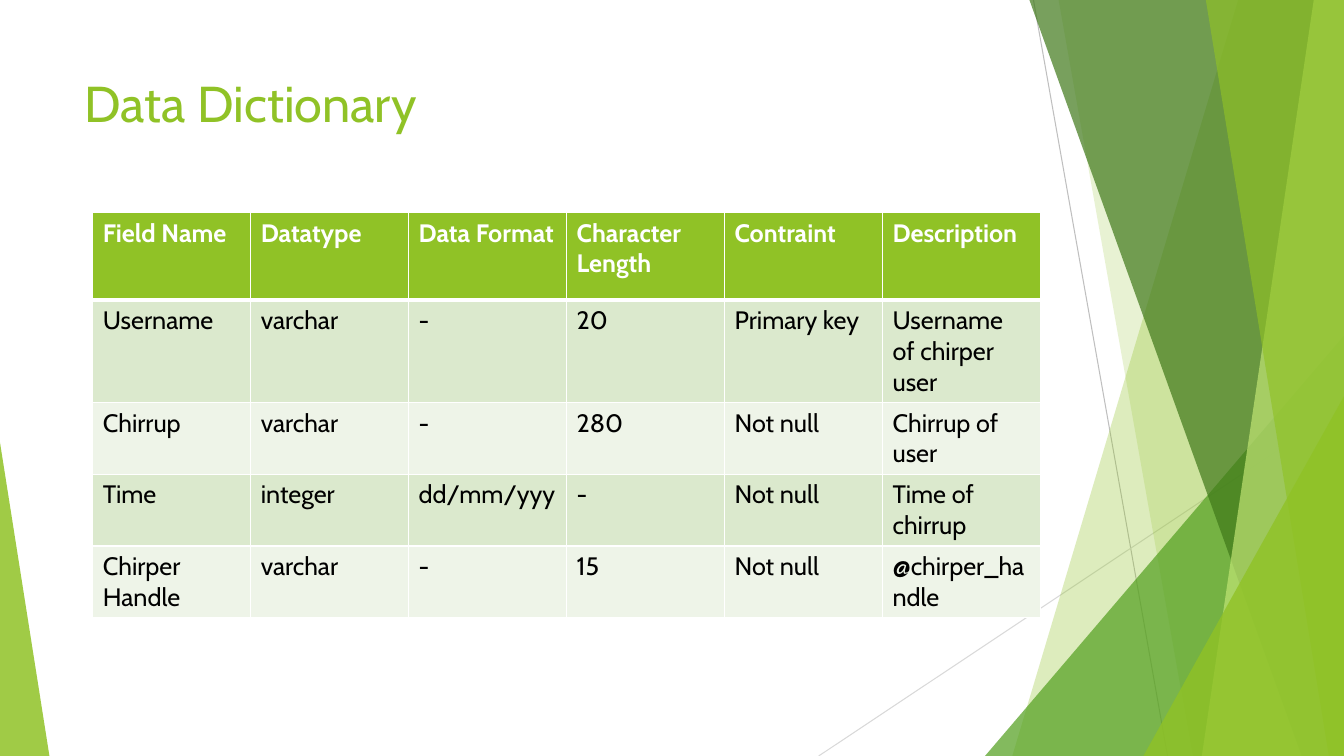
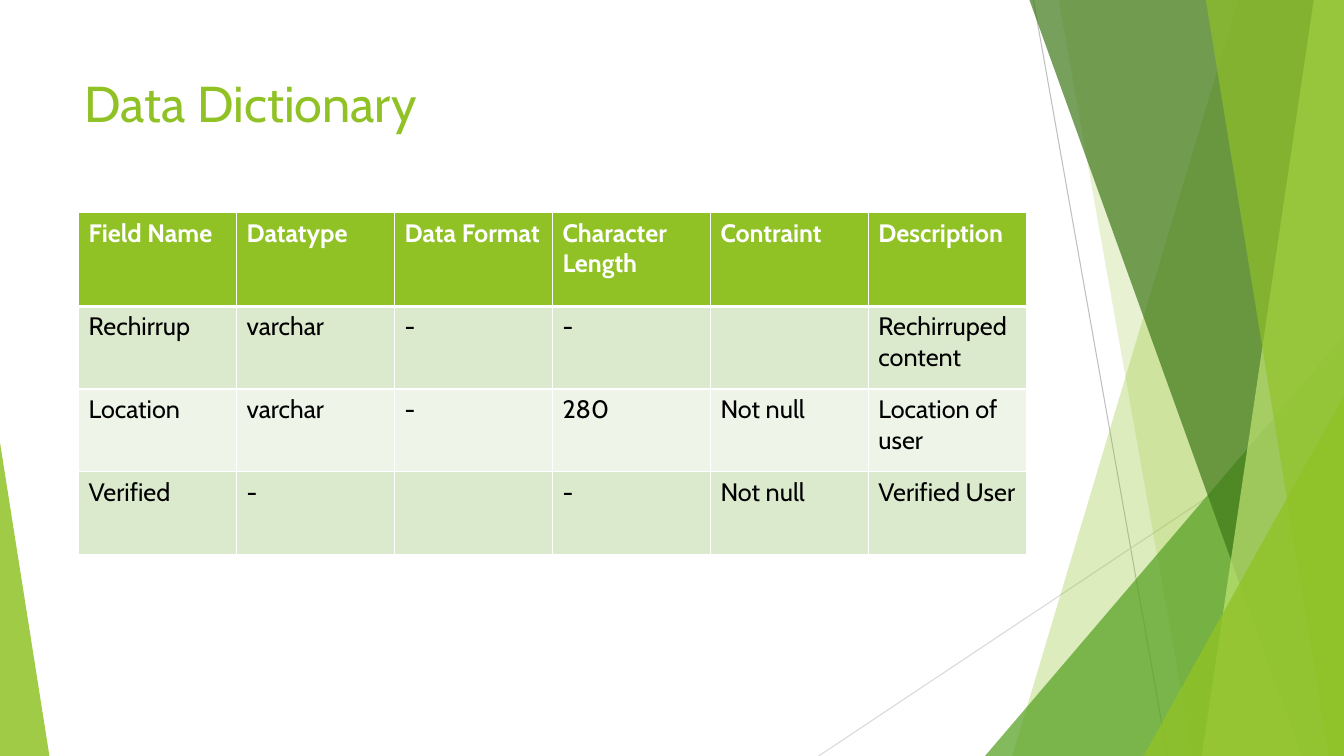
from pptx import Presentation
from pptx.dml.color import RGBColor as RGB
from pptx.enum.shapes import MSO_CONNECTOR, MSO_SHAPE
from pptx.enum.text import MSO_ANCHOR, MSO_AUTO_SIZE, PP_ALIGN
from pptx.oxml.ns import qn
from pptx.util import Inches, Pt
from lxml.etree import SubElement

FONT = "Cabin"
WHITE = RGB(0xFF, 0xFF, 0xFF)
BLACK = RGB(0x00, 0x00, 0x00)
GREEN = RGB(0x90, 0xC2, 0x26)
MID_GREEN = RGB(0x54, 0xA0, 0x21)
DARK_GREEN = RGB(0x3F, 0x78, 0x19)
LIGHT_GREEN = RGB(0xC0, 0xE4, 0x74)
GREY = RGB(0xBF, 0xBF, 0xBF)
PALE_GREY = RGB(0xD9, 0xD9, 0xD9)
BANDS = [RGB(0xDB, 0xE9, 0xCD), RGB(0xEE, 0xF4, 0xE8)]

WIDTH, HEIGHT = 13.33, 7.5
TITLE_BOX = (0.74, 0.67, 9.4, 1.44)
TABLE_TOP, TABLE_WIDTH = 2.11, 9.4

LINES = [
    ((10.25, 0), (11.58, HEIGHT), GREY),
    ((WIDTH, 4.03), (8.12, HEIGHT), PALE_GREY),
]
FACETS = [
    ("band", (12.28, 10.04), GREEN, 30),
    ("band", (10.5, 11.83), GREEN, 20),
    ("triangle", (9.77, 3.33, 3.56, 1), MID_GREEN, 72),
    ("band", (10.21, 12.91), DARK_GREEN, 70),
    ("band", (13.03, 11.92), LIGHT_GREEN, 70),
    ("band", (11.96, 13.18), GREEN, 65),
    ("triangle", (11.34, 3.93, 1.99, 1), GREEN, 80),
    ("triangle", (0, 4.39, 0.49, 0), GREEN, 85),
]

HEADER = ["Field Name", "Datatype", "Data Format", "Character Length", "Contraint", "Description"]
SLIDES = [
    {
        "title": "Data Dictionary",
        "left": 0.92,
        "heights": (0.87, 0.71),
        "rows": [
            ["Username", "varchar", "-", "20", "Primary key", "Username of chirper user"],
            ["Chirrup", "varchar", "-", "280", "Not null", "Chirrup of user"],
            ["Time", "integer", "dd/mm/yyy", "-", "Not null", "Time of chirrup"],
            ["Chirper Handle", "varchar", "-", "15", "Not null", "@chirper_handle"],
        ],
    },
    {
        "title": "Data Dictionary",
        "left": 0.78,
        "heights": (0.93, 0.82),
        "rows": [
            ["Rechirrup", "varchar", "-", "-", "", "Rechirruped content"],
            ["Location", "varchar", "-", "280", "Not null", "Location of user"],
            ["Verified", "-", "", "-", "Not null", "Verified User"],
        ],
    },
]


def add_line(slide, start, end, color):
    ends = [Inches(v) for v in (*start, *end)]
    line = slide.shapes.add_connector(MSO_CONNECTOR.STRAIGHT, *ends)
    line.line.color.rgb = color
    line.line.width = Pt(0.75)
    SubElement(line.element.spPr, qn("a:effectLst"))
    return line


def add_facet(slide, kind, geometry, color, opacity):
    if kind == "band":
        top_x, bottom_x = geometry
        corners = [(top_x, 0), (WIDTH, 0), (WIDTH, HEIGHT), (bottom_x, HEIGHT)]
        points = [(Inches(x), Inches(y)) for x, y in corners]
        builder = slide.shapes.build_freeform(*points[0])
        builder.add_line_segments(points[1:], close=True)
        sp = builder.convert_to_shape()
    else:
        left, top, width, apex = geometry
        box = [Inches(v) for v in (left, top, width, HEIGHT - top)]
        sp = slide.shapes.add_shape(MSO_SHAPE.ISOSCELES_TRIANGLE, *box)
        sp.adjustments[0] = apex
    sp.shadow.inherit = False
    sp.fill.solid()
    sp.fill.fore_color.rgb = color
    sp.line.fill.background()
    clr = sp.element.spPr.find(qn("a:solidFill")).find(qn("a:srgbClr"))
    SubElement(clr, qn("a:alpha")).set("val", str(opacity * 1000))
    return sp


def set_backdrop(layout, slide):
    parts = [add_line(slide, *line) for line in LINES]
    parts += [add_facet(slide, *facet) for facet in FACETS]
    tree = layout.shapes.element
    for i, part in enumerate(parts):
        tree.insert(2 + i, part.element)


def set_title_box(layout):
    for ph in layout.placeholders:
        if ph.placeholder_format.idx == 0:
            ph.left, ph.top, ph.width, ph.height = [Inches(v) for v in TITLE_BOX]


def add_run(p, text, size, color, bold=False):
    r = p.add_run()
    r.text = text
    r.font.name = FONT
    r.font.size = Pt(size)
    r.font.bold = bold
    r.font.color.rgb = color


def set_title(slide, text):
    tf = slide.shapes.title.text_frame
    tf.word_wrap = True
    tf.auto_size = MSO_AUTO_SIZE.NONE
    tf.vertical_anchor = MSO_ANCHOR.TOP
    p = tf.paragraphs[0]
    p.alignment = PP_ALIGN.LEFT
    add_run(p, text, 36, GREEN)


def set_borders(cell, top, bottom):
    tc_pr = cell._tc.get_or_add_tcPr()
    for side, width in (("L", 1), ("R", 1), ("T", top), ("B", bottom)):
        ln = SubElement(tc_pr, qn(f"a:ln{side}"), w=str(Pt(width)))
        fill = SubElement(ln, qn("a:solidFill"))
        SubElement(fill, qn("a:srgbClr"), val=str(WHITE))


def add_dictionary(slide, left, heights, rows):
    header_height, row_height = heights
    total = header_height + row_height * len(rows)
    box = [Inches(v) for v in (left, TABLE_TOP, TABLE_WIDTH, total)]
    table = slide.shapes.add_table(len(rows) + 1, len(HEADER), *box).table
    for col in table.columns:
        col.width = Inches(TABLE_WIDTH / len(HEADER))
    for i, values in enumerate([HEADER] + rows):
        is_header = i == 0
        table.rows[i].height = Inches(header_height if is_header else row_height)
        for j, text in enumerate(values):
            cell = table.cell(i, j)
            set_borders(cell, top=3 if i == 1 else 1, bottom=3 if is_header else 1)
            cell.fill.solid()
            cell.fill.fore_color.rgb = GREEN if is_header else BANDS[(i - 1) % 2]
            if text:
                p = cell.text_frame.paragraphs[0]
                add_run(p, text, 18, WHITE if is_header else BLACK, is_header)


def main():
    prs = Presentation()
    prs.slide_width, prs.slide_height = Inches(WIDTH), Inches(HEIGHT)
    layout = prs.slide_layouts[5]
    set_title_box(layout)
    for i, content in enumerate(SLIDES):
        slide = prs.slides.add_slide(layout)
        if i == 0:
            set_backdrop(layout, slide)
        set_title(slide, content["title"])
        add_dictionary(slide, content["left"], content["heights"], content["rows"])
    prs.save("out.pptx")


if __name__ == "__main__":
    main()
